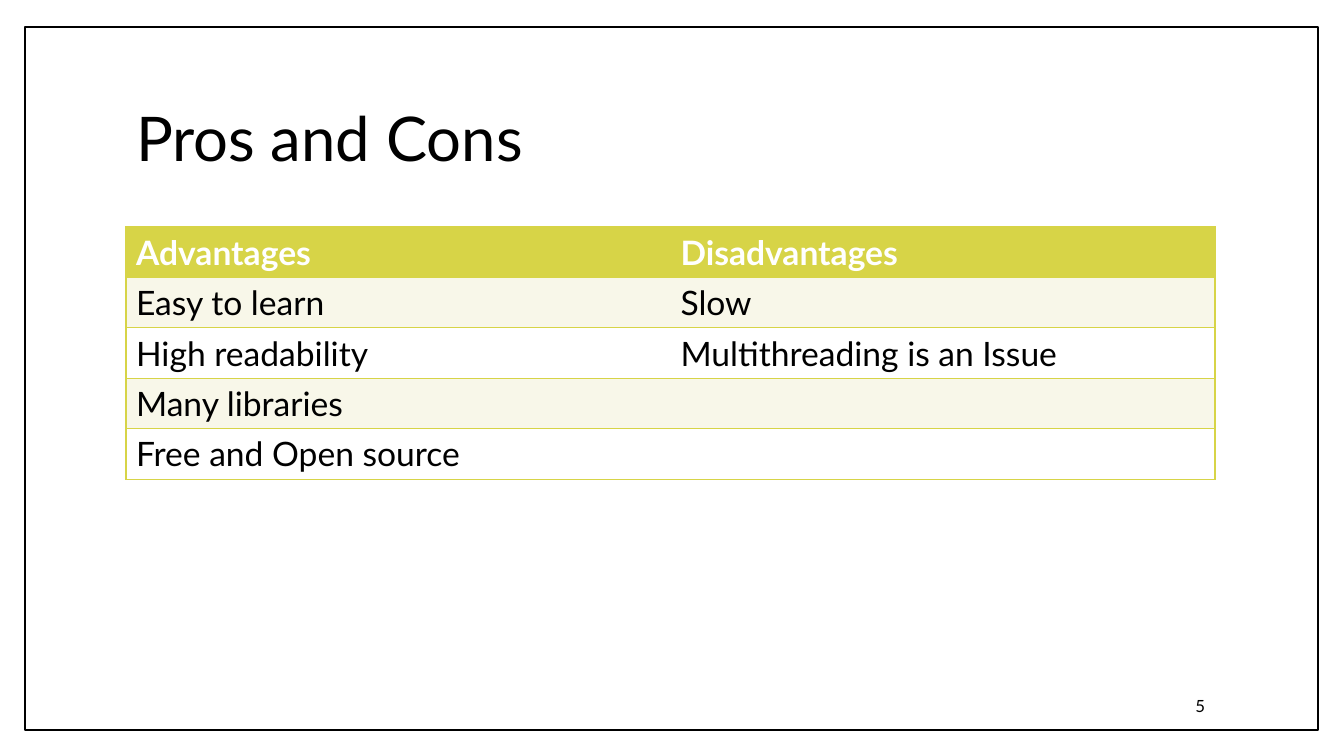
from dataclasses import dataclass
from lxml import etree
from pptx import Presentation
from pptx.dml.color import RGBColor
from pptx.enum.shapes import MSO_SHAPE
from pptx.enum.text import MSO_ANCHOR, MSO_AUTO_SIZE, PP_ALIGN
from pptx.oxml.ns import qn
from pptx.util import Pt

RECTANGLE = MSO_SHAPE.RECTANGLE
MIDDLE = MSO_ANCHOR.MIDDLE
NO_AUTOFIT = MSO_AUTO_SIZE.NONE
LEFT, RIGHT = PP_ALIGN.LEFT, PP_ALIGN.RIGHT
EMU_PER_PIXEL = 9144000 / 1008
TITLE_ONLY = 5


@dataclass(frozen=True)
class Theme:
    font: str = "Lato"
    ink: str = "000000"
    paper: str = "FFFFFF"
    accent: str = "D7D447"
    band: str = "F8F7E9"
    title_size: int = 44
    table_size: int = 24
    number_size: int = 12
    line_width: int = 1


THEME = Theme()
ADVANTAGES = ["Easy to learn", "High readability", "Many libraries", "Free and Open source"]
DISADVANTAGES = ["Slow", "Multithreading is an Issue", "", ""]


def emu(pixels):
    return round(pixels * EMU_PER_PIXEL)


def scaled(box):
    return [emu(length) for length in box]


def paint(fill, color):
    fill.solid()
    fill.fore_color.rgb = RGBColor.from_string(color)


def write(para, text, size, color, bold=False, align=LEFT):
    para.alignment = align
    span = para.add_run()
    span.text = text
    span.font.name = THEME.font
    span.font.size = Pt(size)
    span.font.bold = bold
    span.font.color.rgb = RGBColor.from_string(color)


def set_borders(cell, colors):
    properties = cell._tc.get_or_add_tcPr()
    for index, (side, color) in enumerate(colors.items()):
        line = etree.Element(qn("a:ln" + side), w=str(Pt(THEME.line_width)))
        if color:
            fill = etree.SubElement(line, qn("a:solidFill"))
            etree.SubElement(fill, qn("a:srgbClr"), val=color)
        else:
            etree.SubElement(line, qn("a:noFill"))
        properties.insert(index, line)


def add_frame(page, box):
    frame = page.shapes.add_shape(RECTANGLE, *scaled(box))
    frame.shadow.inherit = False
    paint(frame.fill, THEME.paper)
    paint(frame.line.fill, THEME.ink)
    frame.line.width = Pt(THEME.line_width)
    page.shapes.title.element.addprevious(frame.element)


def add_title(page, box, text):
    title = page.shapes.title
    title.left, title.top, title.width, title.height = scaled(box)
    title.text_frame.auto_size = NO_AUTOFIT
    title.text_frame.vertical_anchor = MIDDLE
    para = title.text_frame.paragraphs[0]
    para.line_spacing = 0.9
    write(para, text, THEME.title_size, THEME.ink)


def add_comparison(page, box, rows):
    last_column = len(rows[0]) - 1
    table = page.shapes.add_table(len(rows), len(rows[0]), *scaled(box)).table
    table.horz_banding = False
    for row_index, texts in enumerate(rows):
        table.rows[row_index].height = emu(box[3] / len(rows))
        header = row_index == 0
        fill = THEME.accent if header else THEME.band if row_index % 2 else THEME.paper
        for column_index, text in enumerate(texts):
            cell = table.cell(row_index, column_index)
            paint(cell.fill, fill)
            set_borders(cell, {
                "L": THEME.accent if column_index == 0 else None,
                "R": THEME.accent if column_index == last_column else None,
                "T": THEME.accent,
                "B": THEME.accent,
            })
            if text:
                color = THEME.paper if header else THEME.ink
                write(cell.text_frame.paragraphs[0], text, THEME.table_size, color, header)


def add_page_number(page, box, number):
    text_frame = page.shapes.add_textbox(*scaled(box)).text_frame
    text_frame.word_wrap = True
    text_frame.vertical_anchor = MIDDLE
    write(text_frame.paragraphs[0], number, THEME.number_size, THEME.ink, align=RIGHT)


def build_page(deck):
    page = deck.slides.add_slide(deck.slide_layouts[TITLE_ONLY])
    paint(page.background.fill, THEME.paper)
    add_frame(page, (25, 27, 1293, 703))
    add_title(page, (126, 67, 1089, 149), "Pros and Cons")
    rows = [("Advantages", "Disadvantages"), *zip(ADVANTAGES, DISADVANTAGES)]
    add_comparison(page, (126, 227, 1089, 252), rows)
    add_page_number(page, (1028, 686, 187, 40), "5")


deck = Presentation()
deck.slide_width, deck.slide_height = emu(1344), emu(756)
build_page(deck)
deck.save("out.pptx")
